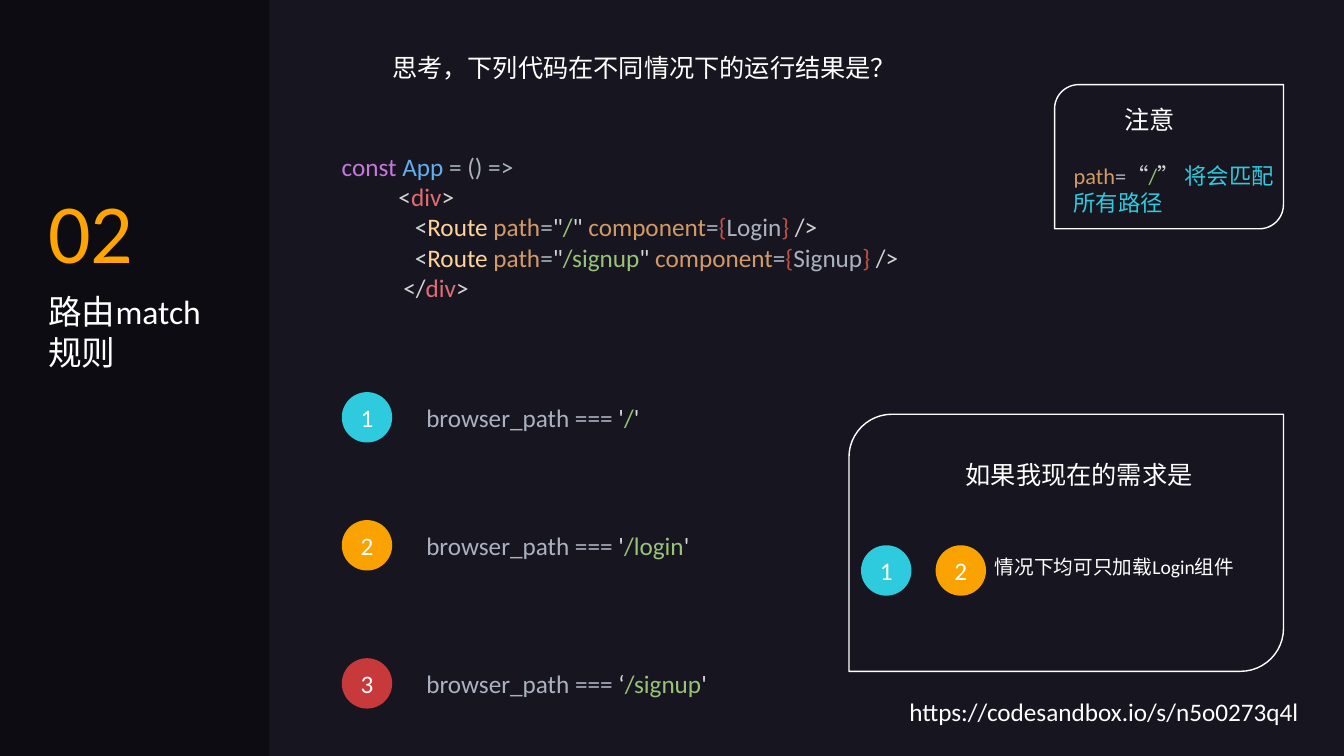
from pptx import Presentation
from pptx.dml.color import RGBColor
from pptx.enum.shapes import MSO_SHAPE
from pptx.enum.text import MSO_ANCHOR, MSO_AUTO_SIZE, PP_ALIGN
from pptx.util import Inches, Pt

FONT = "Calibri"
COLORS = {
    "back": "171620", "panel": "0E0C13", "white": "FFFFFF", "gold": "FFA400",
    "cyan": "2ECBDE", "orange": "FAA300", "red": "C7393B",
    "key": "C678DD", "name": "61AFEF", "plain": "ABB2BF", "mark": "D4D4D4",
    "tag": "E06C75", "comp": "FFD399", "attr": "D19A66", "text": "98C379",
    "brace": "BE5046",
}
BADGES = {"1": "cyan", "2": "orange", "3": "red"}


def rgb(name):
    return RGBColor.from_string(COLORS[name])


def style(run, size, color):
    run.font.name = FONT
    run.font.size = Pt(size)
    run.font.color.rgb = rgb(color)


def fill_para(para, parts, size):
    """Write (text, colour) parts as the runs of one paragraph."""
    for text, color in parts:
        run = para.add_run()
        run.text = text
        style(run, size, color)


def add_text(slide, box, lines, size=18, wrap=False):
    """Add a text box; lines holds one list of (text, colour) parts each."""
    frame = slide.shapes.add_textbox(*map(Inches, box)).text_frame
    frame.word_wrap = wrap
    frame.auto_size = MSO_AUTO_SIZE.SHAPE_TO_FIT_TEXT
    for i, parts in enumerate(lines):
        para = frame.add_paragraph() if i else frame.paragraphs[0]
        fill_para(para, parts, size)
    return frame


def add_label(slide, box, text, size=18, color="white", wrap=False):
    add_text(slide, box, [[(text, color)]], size, wrap)


def add_badge(slide, left, top, label):
    """Add a numbered circle."""
    dot = slide.shapes.add_shape(MSO_SHAPE.OVAL, Inches(left), Inches(top),
                                 Inches(0.5), Inches(0.5))
    dot.shadow.inherit = False
    dot.fill.solid()
    dot.fill.fore_color.rgb = rgb(BADGES[label])
    dot.line.fill.background()
    frame = dot.text_frame
    frame.margin_left = frame.margin_right = 0
    frame.vertical_anchor = MSO_ANCHOR.MIDDLE
    frame.text = label
    para = frame.paragraphs[0]
    para.alignment = PP_ALIGN.CENTER
    style(para.runs[0], 18, "white")


def add_frame(slide, box):
    """Add an outlined card with two round corners."""
    card = slide.shapes.add_shape(MSO_SHAPE.ROUND_2_DIAG_RECTANGLE,
                                  *map(Inches, box))
    card.shadow.inherit = False
    card.adjustments[0] = 0.167
    card.fill.background()
    card.line.color.rgb = rgb("white")
    card.line.width = Pt(1)


def add_panel(slide):
    panel = slide.shapes.add_shape(MSO_SHAPE.RECTANGLE, 0, 0,
                                   Inches(2.67), Inches(7.5))
    panel.shadow.inherit = False
    panel.fill.solid()
    panel.fill.fore_color.rgb = rgb("panel")
    panel.line.fill.background()
    # Behind the title
    slide.shapes._spTree.insert(2, panel._element)


def set_title(slide, box, text):
    title = slide.shapes.title
    title.left, title.top, title.width, title.height = map(Inches, box)
    frame = title.text_frame
    frame.text = text
    frame.word_wrap = True
    frame.auto_size = MSO_AUTO_SIZE.SHAPE_TO_FIT_TEXT
    frame.vertical_anchor = MSO_ANCHOR.TOP
    para = frame.paragraphs[0]
    para.alignment = PP_ALIGN.LEFT
    style(para.runs[0], 24, "white")


def route(url, comp):
    """Give the coloured parts of one Route line."""
    return [("    <", "mark"), ("Route ", "comp"), ("path", "attr"),
            ("=", "plain"), ('"', "mark"), (url, "text"), ('" ', "mark"),
            ("component", "attr"), ("=", "plain"), ("{", "brace"),
            (comp, "plain"), ("} ", "brace"), ("/>", "mark")]


def add_code(slide):
    lines = [
        [("const ", "key"), ("App ", "name"), ("= () =>", "plain")],
        [("          <", "mark"), ("div", "tag"), (">", "mark")],
        route("/", "Login"),
        route("/signup", "Signup"),
        [("  </", "mark"), ("div", "tag"), (">", "mark")],
    ]
    frame = add_text(slide, (3.29, 1.45, 6.16, 1.62), lines, wrap=True)
    for para in frame.paragraphs[2:]:
        para.level = 1
        props = para._p.get_or_add_pPr()
        props.set("marL", str(Inches(0.5)))
        props.set("indent", "0")


def add_case(slide, top, width, label, quote, url):
    """Add a badge with the path test beside it."""
    add_badge(slide, 3.39, top, label)
    add_text(slide, (4.13, top + 0.05, width, 0.4),
             [[("browser_path ===", "plain"), (" " + quote, "mark"),
               (url, "text"), ("'", "mark")]])


def main():
    deck = Presentation()
    deck.slide_width, deck.slide_height = Inches(13.33), Inches(7.5)
    slide = deck.slides.add_slide(deck.slide_layouts[5])
    slide.background.fill.solid()
    slide.background.fill.fore_color.rgb = rgb("back")

    add_panel(slide)
    add_label(slide, (0.38, 1.73, 1.05, 1.11), "02", 60, "gold")
    set_title(slide, (0.38, 2.84, 2.01, 0.91), "路由match规则")

    add_label(slide, (3.79, 0.47, 5.25, 0.4),
              "思考，下列代码在不同情况下的运行结果是？")
    add_code(slide)
    add_case(slide, 3.89, 2.34, "1", "'", "/")
    add_case(slide, 5.16, 2.84, "2", "'", "/login")
    add_case(slide, 6.53, 3.02, "3", "‘", "/signup")

    add_frame(slide, (10.46, 0.84, 2.27, 1.43))
    add_label(slide, (11.05, 0.99, 0.71, 0.4), "注意")
    add_text(slide, (10.55, 1.56, 2.27, 0.91),
             [[("path", "attr"), ("=", "plain"), ("“", "mark"),
               ("/", "text"), ("” ", "mark"),
               ("将会匹配所有路径", "cyan")]], 16, True)

    add_frame(slide, (8.42, 4.11, 4.31, 2.55))
    add_label(slide, (9.48, 4.51, 2.47, 0.4), "如果我现在的需求是")
    add_badge(slide, 8.54, 5.41, "1")
    add_badge(slide, 9.28, 5.41, "2")
    add_label(slide, (9.77, 5.46, 2.59, 0.34),
              "情况下均可只加载Login组件", 14, wrap=True)
    add_label(slide, (8.92, 6.86, 4.11, 0.4),
              "https://codesandbox.io/s/n5o0273q4l")
    deck.save("out.pptx")


if __name__ == "__main__":
    main()
